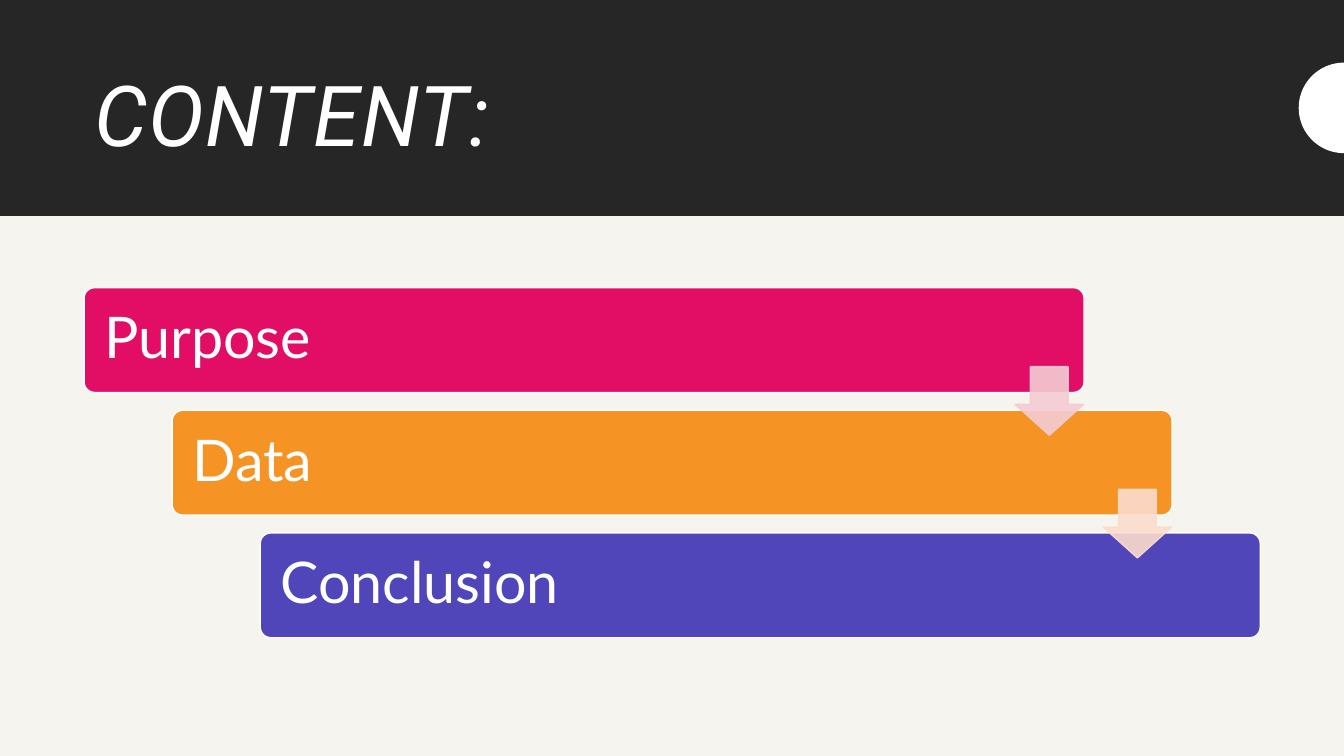
from dataclasses import dataclass
from math import cos, pi, sin

from lxml.etree import SubElement
from pptx import Presentation
from pptx.dml.color import RGBColor
from pptx.enum.shapes import MSO_SHAPE as Preset
from pptx.enum.text import MSO_ANCHOR as Anchor, PP_ALIGN as Align
from pptx.oxml.ns import qn
from pptx.shapes.autoshape import Shape
from pptx.slide import Slide
from pptx.text.text import TextFrame
from pptx.util import Cm, Pt

WHITE = RGBColor(0xFF, 0xFF, 0xFF)
CREAM = RGBColor(0xF6, 0xF4, 0xEF)
CHARCOAL = RGBColor(0x26, 0x26, 0x26)
PINK = RGBColor(0xE2, 0x0E, 0x65)
ORANGE = RGBColor(0xF5, 0x93, 0x24)
INDIGO = RGBColor(0x50, 0x46, 0xB9)
PALE_PINK = RGBColor(0xF4, 0xCC, 0xD3)
PALE_ORANGE = RGBColor(0xFB, 0xDC, 0xCD)

SLIDE_W, SLIDE_H = 33.87, 19.05
BAND_H = 5.44
STEP_X, STEP_Y = 2.22, 3.09
BAR_X, BAR_Y, BAR_W, BAR_H = 2.12, 7.25, 25.2, 2.64
ARROW_X, ARROW_Y, ARROW_SIZE = 25.58, 9.24, 1.73
DISC_Y, DISC_RADIUS = 2.72, 1.14
ARC_STEPS = 48


@dataclass(frozen=True)
class Stage:
    """One bar of the staircase."""
    label: str
    color: RGBColor


STAGES = [Stage("Purpose", PINK), Stage("Data", ORANGE), Stage("Conclusion", INDIGO)]
ARROW_COLORS = [PALE_PINK, PALE_ORANGE]


def paint(shape: Shape, fill: RGBColor, line: RGBColor | None = None) -> None:
    """Give a shape a flat fill and a one-point outline, or none."""
    shape.shadow.inherit = False
    shape.fill.solid()
    shape.fill.fore_color.rgb = fill
    if line is None:
        shape.line.fill.background()
    else:
        shape.line.color.rgb = line
        shape.line.width = Pt(1)


def write(frame: TextFrame, text: str, font: str, size: int,
          inset: float, italic: bool = False, spacing: int = 0) -> None:
    """Write one white, left-aligned, vertically centred line."""
    frame.word_wrap = True
    frame.vertical_anchor = Anchor.MIDDLE
    frame.margin_left = frame.margin_right = Cm(inset)
    frame.margin_top = frame.margin_bottom = Cm(0.13)
    paragraph = frame.paragraphs[0]
    paragraph.alignment = Align.LEFT
    paragraph.line_spacing = 0.9
    run = paragraph.add_run()
    run.text = text
    run.font.name = font
    run.font.size = Pt(size)
    run.font.italic = italic
    run.font.color.rgb = WHITE
    if spacing:
        run.font._element.set("spc", str(spacing))


def add_header(slide: Slide) -> None:
    """Draw the dark band, its title and the half disc at the right edge."""
    band = slide.shapes.add_shape(Preset.RECTANGLE, 0, 0, Cm(SLIDE_W), Cm(BAND_H))
    paint(band, CHARCOAL)
    title = slide.shapes.add_textbox(Cm(2.12), Cm(1.17), Cm(29.64), Cm(3.68))
    write(title.text_frame, "CONTENT:", "Roboto", 60, 0.25, italic=True, spacing=100)

    angles = [pi * step / ARC_STEPS for step in range(ARC_STEPS + 1)]
    arc = [(Cm(SLIDE_W - DISC_RADIUS * sin(angle)),
            Cm(DISC_Y - DISC_RADIUS * cos(angle))) for angle in angles]
    builder = slide.shapes.build_freeform(*arc[0])
    builder.add_line_segments(arc[1:], close=True)
    paint(builder.convert_to_shape(), WHITE)


def add_bar(slide: Slide, index: int, stage: Stage) -> None:
    """Draw one labelled bar on its stair."""
    bar = slide.shapes.add_shape(
        Preset.ROUNDED_RECTANGLE, Cm(BAR_X + index * STEP_X),
        Cm(BAR_Y + index * STEP_Y), Cm(BAR_W), Cm(BAR_H))
    bar.adjustments[0] = 0.1
    paint(bar, stage.color, WHITE)
    write(bar.text_frame, stage.label, "Lato", 41, 0.43)


def add_arrow(slide: Slide, index: int, color: RGBColor) -> None:
    """Draw the translucent arrow leading down to the next bar."""
    arrow = slide.shapes.add_shape(
        Preset.DOWN_ARROW, Cm(ARROW_X + index * STEP_X),
        Cm(ARROW_Y + index * STEP_Y), Cm(ARROW_SIZE), Cm(ARROW_SIZE))
    arrow.adjustments[0] = 0.55
    arrow.adjustments[1] = 0.45
    paint(arrow, color, color)
    for tint in arrow._element.spPr.iter(qn("a:srgbClr")):
        SubElement(tint, qn("a:alpha")).set("val", "90000")


def main() -> None:
    """Build and save the slide."""
    deck = Presentation()
    deck.slide_width, deck.slide_height = Cm(SLIDE_W), Cm(SLIDE_H)
    slide = deck.slides.add_slide(deck.slide_layouts[6])
    slide.background.fill.solid()
    slide.background.fill.fore_color.rgb = CREAM
    add_header(slide)
    for index, stage in enumerate(STAGES):
        add_bar(slide, index, stage)
    for index, color in enumerate(ARROW_COLORS):
        add_arrow(slide, index, color)
    deck.save("out.pptx")


main()
